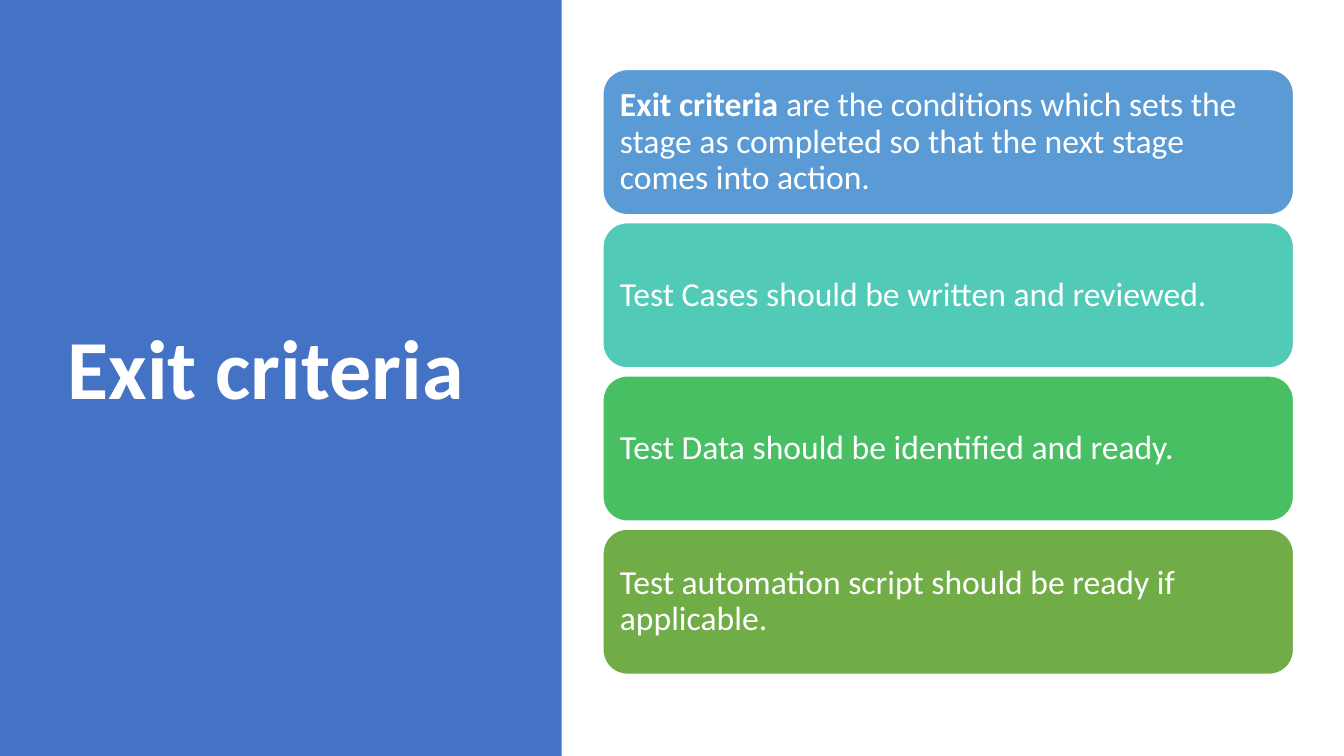
import pptx
import pptx.dml.color
import pptx.enum.shapes
import pptx.enum.text
import pptx.util
from pptx.util import Inches

COLORS = {
    "panel": "4472C4",
    "white": "FFFFFF",
    "blue": "5B9BD5",
    "teal": "52CAB8",
    "green": "49BF64",
    "olive": "70AD47",
}
FONT = "Calibri"
CRITERIA = [
    ("blue", [("Exit criteria", True),
              (" are the conditions which sets the stage as completed so that "
               "the next stage comes into action.", False)]),
    ("teal", [("Test Cases should be written and reviewed.", False)]),
    ("green", [("Test Data should be identified and ready.", False)]),
    ("olive", [("Test automation script should be ready if applicable.", False)]),
]


def color(name):
    return pptx.dml.color.RGBColor.from_string(COLORS[name])


def add_text(para, text, *, size, bold=False, fill="white"):
    span = para.add_run()
    span.text = text
    span.font.name = FONT
    span.font.size = pptx.util.Pt(size)
    span.font.bold = bold
    span.font.color.rgb = color(fill)


def add_block(page, kind, box, fill):
    block = page.shapes.add_shape(kind, *map(Inches, box))
    block.shadow.inherit = False
    block.fill.solid()
    block.fill.fore_color.rgb = color(fill)
    block.line.fill.background()
    return block


def format_para(para):
    para.alignment = pptx.enum.text.PP_ALIGN.LEFT
    para.line_spacing = 0.9


def title_panel(page, box):
    left, top, width, height = box
    panel = add_block(page, pptx.enum.shapes.MSO_SHAPE.RECTANGLE, box, "panel")
    title = page.shapes.title
    title.element.addprevious(panel.element)
    title.left, title.top = Inches(left + 0.57), Inches(top + 0.68)
    title.width, title.height = Inches(width - 1.41), Inches(height - 1.48)
    frame = title.text_frame
    frame.word_wrap = True
    frame.vertical_anchor = pptx.enum.text.MSO_ANCHOR.MIDDLE
    para = frame.paragraphs[0]
    format_para(para)
    add_text(para, "Exit criteria", size=60, bold=True)


def criterion_card(page, box, fill, spans):
    card = add_block(page, pptx.enum.shapes.MSO_SHAPE.ROUNDED_RECTANGLE, box, fill)
    card.line.color.rgb = color("white")
    card.line.width = pptx.util.Pt(1)
    frame = card.text_frame
    frame.word_wrap = True
    frame.vertical_anchor = pptx.enum.text.MSO_ANCHOR.MIDDLE
    frame.margin_left = frame.margin_right = Inches(0.1)
    frame.margin_top = frame.margin_bottom = Inches(0.1)
    para = frame.paragraphs[0]
    format_para(para)
    para.space_after = pptx.util.Pt(8.4)
    for text, bold in spans:
        add_text(para, text, size=24, bold=bold)


def criteria_list(page, box, gap=0.08):
    left, top, width, height = box
    card_height = (height - gap * (len(CRITERIA) - 1)) / len(CRITERIA)
    for index, (fill, spans) in enumerate(CRITERIA):
        card_top = top + index * (card_height + gap)
        criterion_card(page, (left, card_top, width, card_height), fill, spans)


def main():
    deck = pptx.Presentation()
    deck.slide_width, deck.slide_height = Inches(13.33), Inches(7.5)
    page = deck.slides.add_slide(deck.slide_layouts.get_by_name("Title Only"))
    title_panel(page, (0, 0, 5.57, 7.5))
    criteria_list(page, (5.98, 0.69, 6.85, 6))
    deck.save("out.pptx")


if __name__ == "__main__":
    main()
